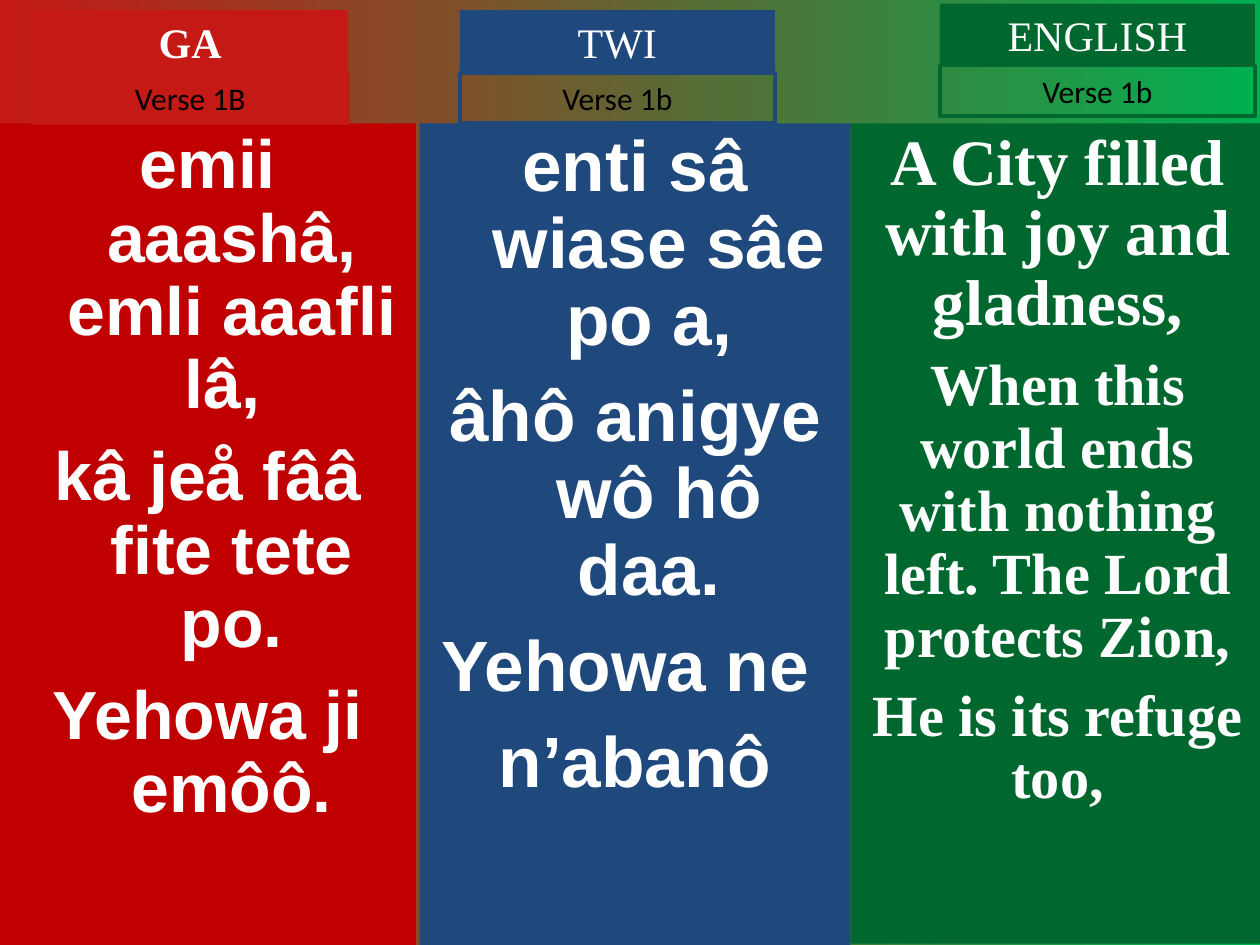
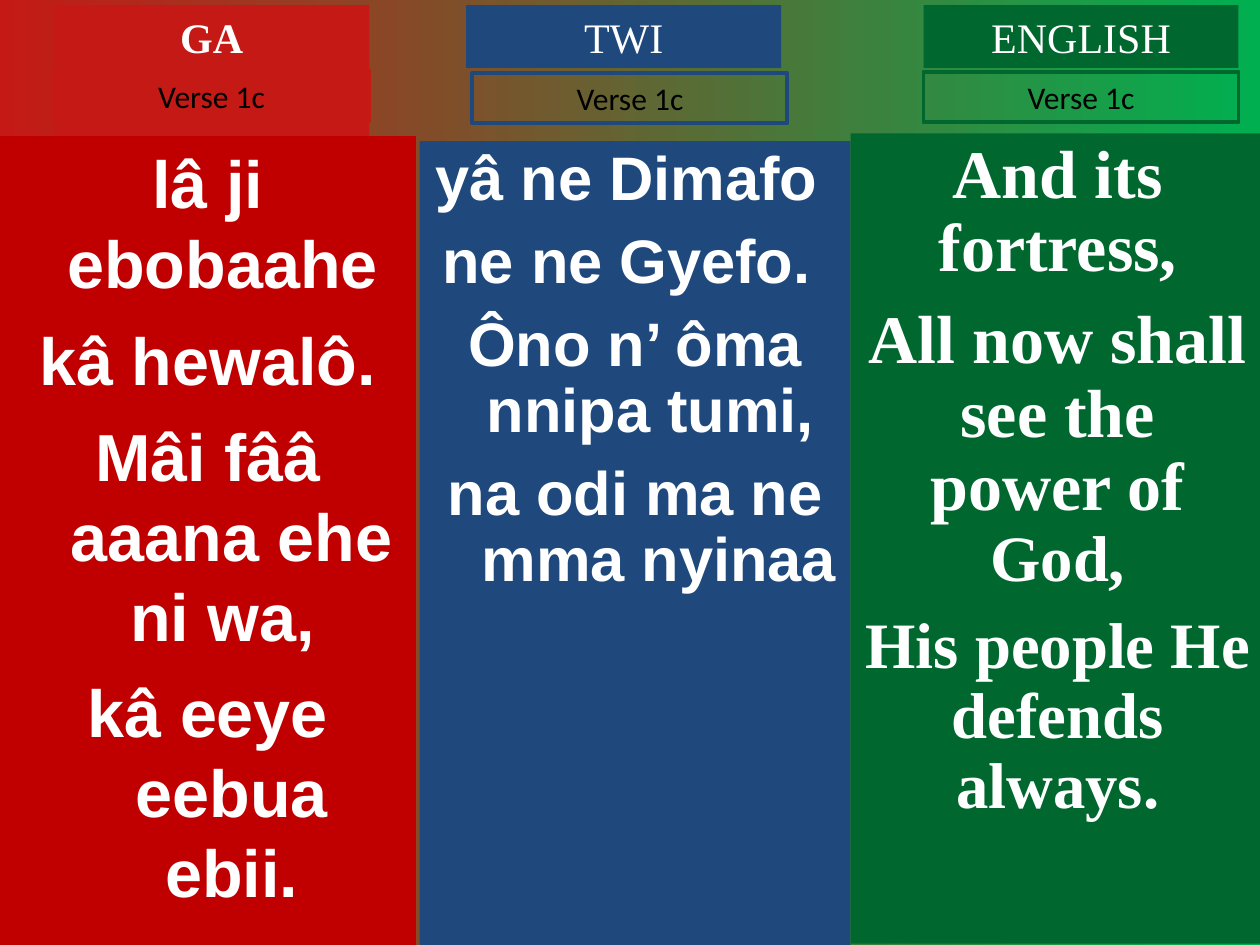
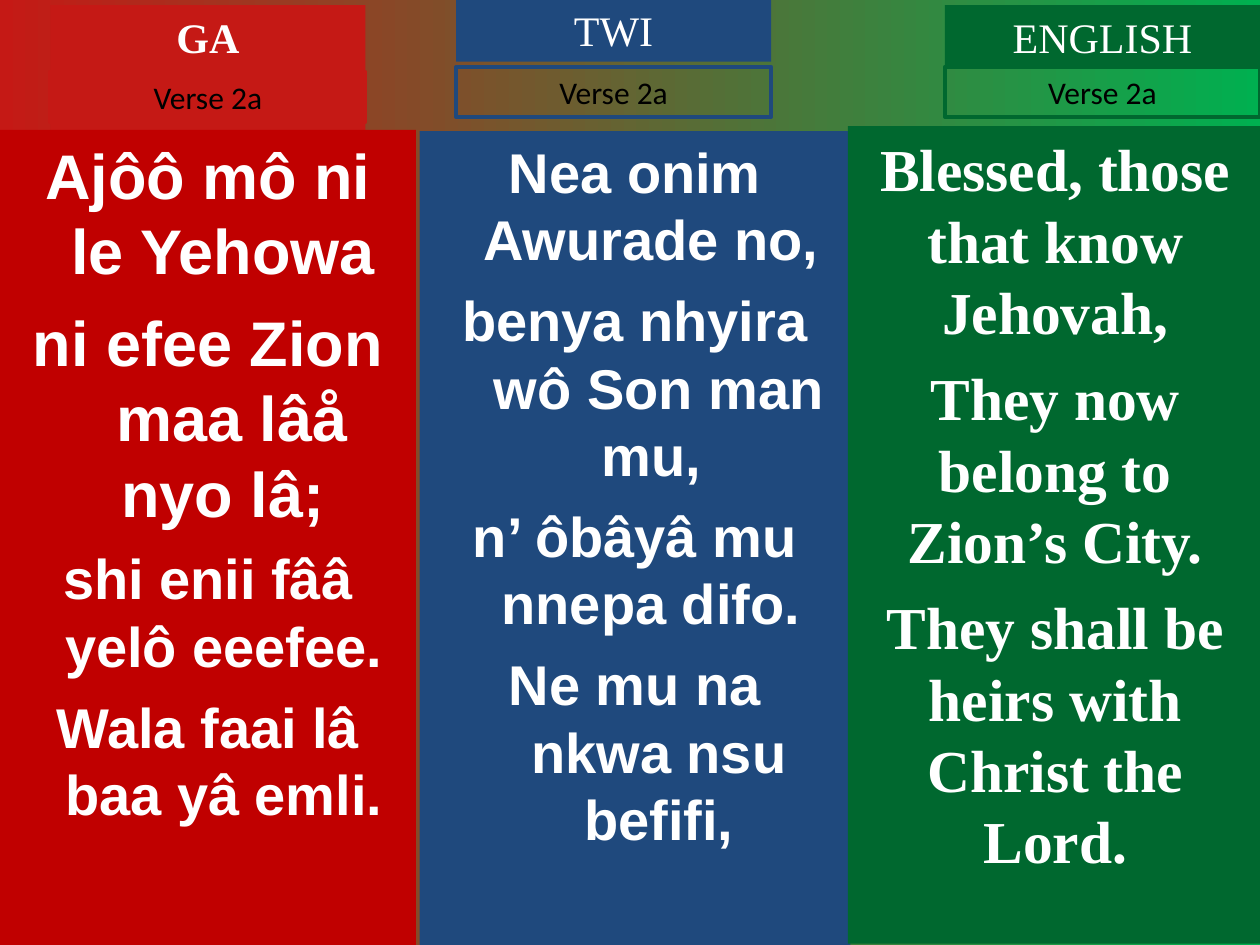
"""Build three hymn slides, each with Ga, Twi and English verses side by side."""
from dataclasses import dataclass

from pptx import Presentation
from pptx.dml.color import RGBColor
from pptx.enum.shapes import MSO_SHAPE
from pptx.enum.text import MSO_ANCHOR, MSO_AUTO_SIZE, PP_ALIGN
from pptx.oxml.ns import qn
from pptx.util import Inches, Pt

RECT = MSO_SHAPE.RECTANGLE
TOP = MSO_ANCHOR.TOP
CENTER = PP_ALIGN.CENTER
FIXED = MSO_AUTO_SIZE.NONE
GROW = MSO_AUTO_SIZE.SHAPE_TO_FIT_TEXT
SERIF = "Times New Roman"
WHITE = "FFFFFF"
BLACK = "000000"
RED = "C51915"
BLUE = "1F497D"
GREEN = "00682F"


@dataclass(frozen=True)
class Lane:
    name: str
    accent: str
    panel: str
    font: str
    left: float
    width: float
    floor: float
    indent: float
    bold: bool = False


@dataclass(frozen=True)
class Run:
    text: str
    size: float
    font: str
    color: str = WHITE
    bold: bool = True


@dataclass(frozen=True)
class Verse:
    label: str
    head: tuple[float, float]
    tag: tuple[float, float]
    top: float
    lines: list[list[tuple[str, float]]]
    pitch: float = 0.9
    shift: float = 0


LANES = [
    Lane("GA", RED, "C00000", "Arial", 0, 3.3, 7.5, 0.38, True),
    Lane("TWI", BLUE, BLUE, "Arial", 3.33, 3.42, 7.5, 0.38),
    Lane("ENGLISH", GREEN, GREEN, SERIF, 6.75, 3.29, 7.49, 0),
]


def each(size: float, *texts: str) -> list[list[tuple[str, float]]]:
    """Make one single-run line of the given size for each text."""
    return [[(text, size)] for text in texts]


PAGES = [
    [
        Verse("Verse 1B", (0.26, 0.08), (0.26, 0.58), 0.98, each(
            38.9, "emii aaashâ, emli aaafli lâ, ", "kâ jeå fââ fite tete po.",
            "Yehowa ji emôô.")),
        Verse("Verse 1b", (3.65, 0.08), (3.65, 0.58), 0.98, each(
            40.7, "enti sâ wiase sâe po a, ", "âhô anigye wô hô daa. ",
            "Yehowa ne ", "n’abanô")),
        Verse("Verse 1b", (7.46, 0.03), (7.46, 0.52), 0.98,
              each(37, "A City filled with joy and gladness,") + each(
                  33.3,
                  "When this world ends with nothing left. "
                  "The Lord protects Zion,",
                  "He is its refuge too,")),
    ],
    [
        Verse("Verse 1c", (0.43, 0.04), (0.43, 0.56), 1.08, each(
            38, "lâ ji ebobaahe ", "kâ hewalô.", "Mâi fââ aaana ehe ni wa, ",
            "kâ eeye eebua ebii."), 1),
        Verse("Verse 1c", (3.7, 0.04), (3.75, 0.58), 1.12, each(
            35.1, "yâ ne Dimafo ", "ne ne Gyefo. ", "Ôno n’ ôma nnipa tumi, ",
            "na odi ma ne mma nyinaa")),
        Verse("Verse 1c", (7.33, 0.04), (7.33, 0.57), 1.06,
              each(38.9, "And its fortress,")
              + [[("All now shall see the power of ", 38.9), ("God,", 37)]]
              + each(37, "His people He defends always.")),
    ],
    [
        Verse("Verse 2a", (0.4, 0.04), (0.4, 0.57), 1.03,
              each(36, "Ajôô mô ni le Yehowa ", "ni efee Zion maa lâå nyo lâ; ")
              + each(32, "shi enii fââ yelô eeefee. ",
                     "Wala faai lâ baa yâ emli. "), 1),
        Verse("Verse 2a", (3.62, -0.01), (3.62, 0.53), 1.04, each(
            32, "Nea onim Awurade no, ", "benya nhyira wô Son man mu, ",
            "n’ ôbâyâ mu nnepa difo. ", "Ne mu na nkwa nsu befifi,"), 1),
        Verse("Verse 2a", (7.5, 0.04), (7.5, 0.53), 1, each(
            34, "Blessed, those that know Jehovah,",
            "They now belong to Zion’s City.",
            "They shall be heirs with Christ the Lord."), 1, -0.02),
    ],
]


def rgb(code: str) -> RGBColor:
    """Turn a hex string into a colour."""
    return RGBColor.from_string(code)


def place(shape, left: float, top: float, width: float, height: float) -> None:
    """Move and size a shape, in inches."""
    shape.left, shape.top = Inches(left), Inches(top)
    shape.width, shape.height = Inches(width), Inches(height)


def block(slide):
    """Add a plain rectangle without shadow."""
    shape = slide.shapes.add_shape(RECT, 0, 0, 0, 0)
    shape.shadow.inherit = False
    return shape


def paint(shape, color: str) -> None:
    """Fill a shape and drop its outline."""
    shape.fill.solid()
    shape.fill.fore_color.rgb = rgb(color)
    shape.line.fill.background()


def write(shape, lines: list[list[Run]], fit: MSO_AUTO_SIZE,
          pitch: float = 1, indent: float = 0) -> None:
    """Write centred lines from the top of a shape, run by run."""
    frame = shape.text_frame
    frame.word_wrap = True
    frame.auto_size = fit
    frame.vertical_anchor = TOP
    frame.margin_left = frame.margin_right = Inches(0.1)
    frame.margin_top = frame.margin_bottom = Inches(0.05)
    share = 0.27 if pitch < 1 else 0.25
    for pos, line in enumerate(lines):
        para = frame.add_paragraph() if pos else frame.paragraphs[0]
        props = para._p.get_or_add_pPr()
        props.set("marL", str(Inches(indent)))
        props.set("indent", str(-Inches(indent)))
        props.append(props.makeelement(qn("a:buNone"), {}))
        para.alignment = CENTER
        para.line_spacing = float(pitch)
        para.space_before = Pt(round(line[0].size * share, 1) if pos else 0)
        para.space_after = Pt(0)
        for part in line:
            run = para.add_run()
            run.text = part.text
            run.font.name = part.font
            run.font.size = Pt(part.size)
            run.font.bold = part.bold
            run.font.color.rgb = rgb(part.color)


def draw(slide, lane: Lane, verse: Verse, panel, head) -> None:
    """Draw one language: verse panel, heading and verse tag."""
    place(panel, lane.left + verse.shift, verse.top, lane.width,
          lane.floor - verse.top)
    paint(panel, lane.panel)
    lines = [[Run(text, size, lane.font) for text, size in line]
             for line in verse.lines]
    write(panel, lines, FIXED, verse.pitch, lane.indent)

    place(head, *verse.head, 2.5, 0.5)
    paint(head, lane.accent)
    write(head, [[Run(lane.name, 24, SERIF, WHITE, lane.bold)]], GROW)

    tag = block(slide)
    place(tag, *verse.tag, 2.5, 0.4)
    tag.fill.background()
    tag.line.color.rgb = rgb(lane.accent)
    tag.line.width = Pt(2.25)
    write(tag, [[Run(verse.label, 18, "Calibri", BLACK, False)]], GROW)


def main() -> None:
    """Build and save the deck."""
    deck = Presentation()
    deck.slide_width, deck.slide_height = Inches(10), Inches(7.5)
    fill = deck.slide_master.background.fill
    fill.gradient()
    fill.gradient_angle = 0
    for stop, color in zip(fill.gradient_stops, (RED, "00B050")):
        stop.color.rgb = rgb(color)
    for page in PAGES:
        slide = deck.slides.add_slide(deck.slide_layouts[3])
        title, ga, twi = slide.placeholders
        panels = [ga, twi, block(slide)]
        heads = [title, block(slide), block(slide)]
        for lane, verse, panel, head in zip(LANES, page, panels, heads):
            draw(slide, lane, verse, panel, head)
    deck.save("out.pptx")


if __name__ == "__main__":
    main()
